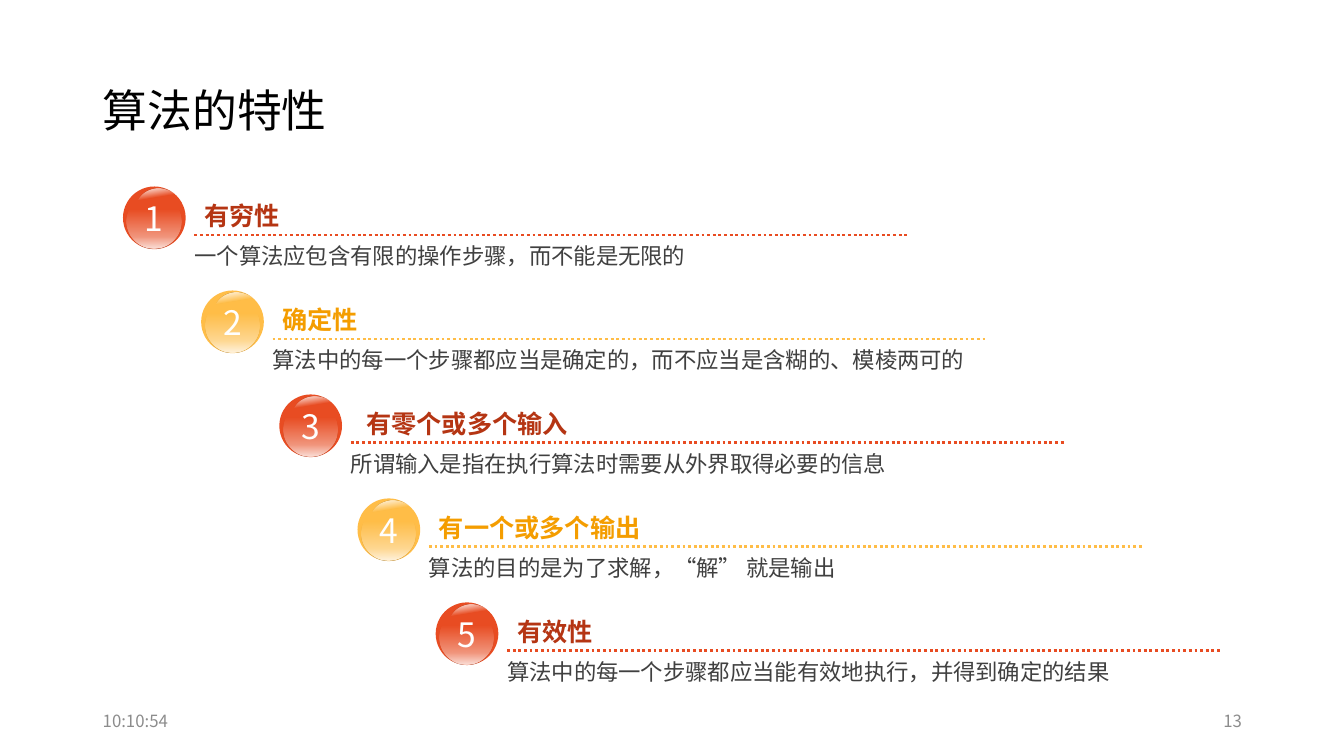
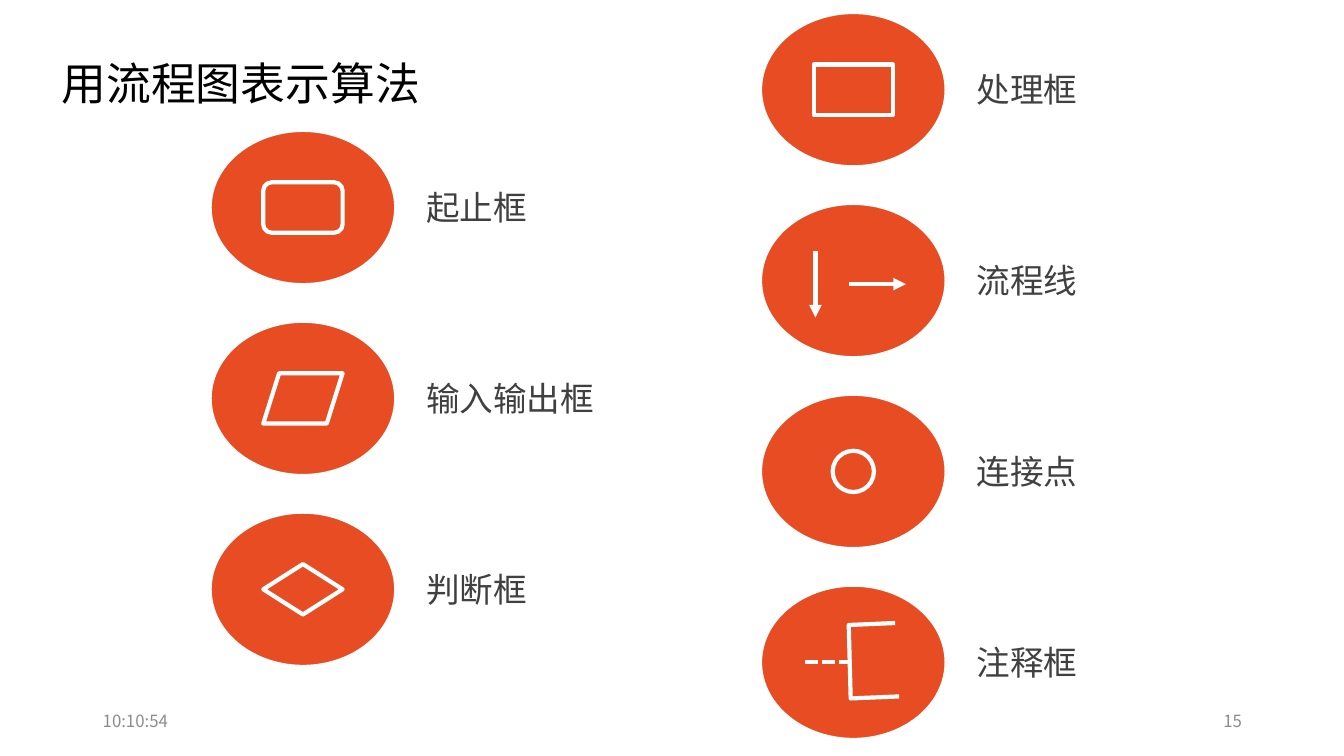
from pptx import Presentation
from pptx.dml.color import RGBColor
from pptx.enum.dml import MSO_LINE
from pptx.enum.shapes import MSO_CONNECTOR, MSO_SHAPE
from pptx.enum.text import MSO_ANCHOR, PP_ALIGN
from pptx.oxml import parse_xml
from pptx.oxml.ns import nsdecls, qn
from pptx.util import Cm, Pt
from lxml.etree import SubElement

FONT = "Noto Sans CJK SC"
COLORS = {
    "red": "E84C22",
    "dark_red": "B53513",
    "yellow": "FFBD47",
    "dark_yellow": "F49D00",
    "white": "FFFFFF",
    "title": "000000",
    "body": "404040",
    "footer": "8C8C8C",
}
INSETS = (0.25, 0.13, 0.25, 0.13)


def color(name):
    return RGBColor.from_string(COLORS[name])


def write_text(shape, text, size=16, ink="body", bold=False, align=PP_ALIGN.LEFT,
               anchor=MSO_ANCHOR.TOP, spacing=1.0, insets=INSETS):
    frame = shape.text_frame
    frame.word_wrap = True
    frame.vertical_anchor = anchor
    frame.margin_left, frame.margin_top, frame.margin_right, frame.margin_bottom = map(Cm, insets)
    paragraph = frame.paragraphs[0]
    paragraph.alignment = align
    paragraph.line_spacing = spacing
    run = paragraph.add_run()
    run.text = text
    run.font.size = Pt(size)
    run.font.bold = bold
    run.font.color.rgb = color(ink)
    run.font.name = FONT
    SubElement(run.font._element, qn("a:ea")).set("typeface", FONT)


class Deck:
    def __init__(self):
        self.presentation = Presentation()
        self.presentation.slide_width = Cm(33.87)
        self.presentation.slide_height = Cm(19.05)
        self.slide = None

    def new_slide(self, title, number, left, top):
        self.slide = self.presentation.slides.add_slide(self.presentation.slide_layouts[6])
        self.text(title, left, top, 29.21, 3.68, size=32, ink="title",
                  anchor=MSO_ANCHOR.MIDDLE, spacing=0.9)
        footer = {"size": 12, "ink": "footer", "anchor": MSO_ANCHOR.MIDDLE}
        self.text("10:10:54", 2.34, 17.65, 7.62, 1.02, **footer)
        self.text(number, 23.93, 17.65, 7.62, 1.02, align=PP_ALIGN.RIGHT, **footer)

    def text(self, text, left, top, width, height, **style):
        box = self.slide.shapes.add_textbox(Cm(left), Cm(top), Cm(width), Cm(height))
        write_text(box, text, **style)

    def outline(self, shape, fill=None, line=None, weight=3):
        shape.shadow.inherit = False
        if fill:
            shape.fill.solid()
            shape.fill.fore_color.rgb = color(fill)
        else:
            shape.fill.background()
        if line:
            shape.line.color.rgb = color(line)
            shape.line.width = Pt(weight)
        else:
            shape.line.fill.background()

    def shape(self, kind, left, top, width, height, **look):
        shape = self.slide.shapes.add_shape(kind, Cm(left), Cm(top), Cm(width), Cm(height))
        self.outline(shape, **look)
        return shape

    def gloss(self, left, top, width, height, stops, angle, rotation=0):
        shape = self.shape(MSO_SHAPE.OVAL, left, top, width, height)
        shape.rotation = rotation
        stop_xml = "".join(
            f'<a:gs pos="{position * 1000}"><a:srgbClr val="{COLORS["white"]}">'
            f'<a:alpha val="{opacity * 1000}"/></a:srgbClr></a:gs>'
            for position, opacity in stops)
        gradient = parse_xml(
            f'<a:gradFill {nsdecls("a")} rotWithShape="1"><a:gsLst>{stop_xml}</a:gsLst>'
            f'<a:lin ang="{angle * 60000}" scaled="0"/></a:gradFill>')
        properties = shape.element.spPr
        properties.replace(properties.find(qn("a:noFill")), gradient)

    def line(self, start, end, ink="white", weight=3, dash=None, arrow=False):
        connector = self.slide.shapes.add_connector(
            MSO_CONNECTOR.STRAIGHT, *map(Cm, (*start, *end)))
        connector.line.color.rgb = color(ink)
        connector.line.width = Pt(weight)
        if dash:
            connector.line.dash_style = dash
        properties = connector.element.spPr
        if arrow:
            SubElement(properties.find(qn("a:ln")), qn("a:tailEnd")).set("type", "triangle")
        SubElement(properties, qn("a:effectLst"))

    def polyline(self, points):
        corners = [(Cm(x), Cm(y)) for x, y in points]
        builder = self.slide.shapes.build_freeform(*corners[0])
        builder.add_line_segments(corners[1:], close=False)
        self.outline(builder.convert_to_shape(), line="white")

    def numbered_item(self, number, heading, body, left, top, tone):
        ball = self.shape(MSO_SHAPE.OVAL, left, top, 1.58, 1.58, fill=tone)
        write_text(ball, str(number), size=24, ink="white", align=PP_ALIGN.CENTER,
                   anchor=MSO_ANCHOR.MIDDLE, insets=(0, 0.13, 0, 0.13))
        self.gloss(left + 0.3, top + 0.08, 1.3, 1.19, [(0, 0), (16, 88), (30, 0)], 45, 35.7)
        self.gloss(left + 0.1, top + 0.2, 1.37, 1.37, [(28, 0), (78, 41), (98, 79)], 90)
        text_left = left + 1.8
        self.line((text_left, top + 1.22), (text_left + 18, top + 1.22),
                  ink=tone, weight=2, dash=MSO_LINE.ROUND_DOT)
        self.text(heading, text_left, top + 0.13, 13, 1.12, size=18, ink=f"dark_{tone}",
                  bold=True, anchor=MSO_ANCHOR.BOTTOM)
        self.text(body, text_left, top + 1.2, 18, 1.04, spacing=1.3, insets=(0, 0, 0, 0))

    def symbol_item(self, label, left, top, symbol=None, width=2.0, height=1.27):
        oval_width, oval_height = 4.65, 3.86
        self.shape(MSO_SHAPE.OVAL, left, top, oval_width, oval_height,
                   fill="red", line="white", weight=1.5)
        if symbol:
            self.shape(symbol, left + (oval_width - width) / 2, top + (oval_height - height) / 2,
                       width, height, line="white")
        self.text(label, left + 5.18, top + 1.28, 5.05, 1.27, size=24)


def build_properties_slide(deck):
    deck.new_slide("算法的特性", "13", 2.34, 1.02)
    items = [
        ("有穷性", "一个算法应包含有限的操作步骤，而不能是无限的"),
        ("确定性", "算法中的每一个步骤都应当是确定的，而不应当是含糊的、模棱两可的"),
        (" 有零个或多个输入", "所谓输入是指在执行算法时需要从外界取得必要的信息"),
        ("有一个或多个输出", "算法的目的是为了求解，“解” 就是输出"),
        ("有效性", "算法中的每一个步骤都应当能有效地执行，并得到确定的结果"),
    ]
    for index, (heading, body) in enumerate(items):
        tone = ("red", "yellow")[index % 2]
        deck.numbered_item(index + 1, heading, body, 3.1 + 1.97 * index, 4.7 + 2.62 * index, tone)


def build_flowchart_slide(deck):
    deck.new_slide("用流程图表示算法", "15", 1.3, 0.33)
    step = 4.81
    left_column, left_top = 5.31, 3.3
    right_column, right_top = 19.18, 0.33
    columns = [
        (left_column, left_top, [
            ("起止框", MSO_SHAPE.FLOWCHART_ALTERNATE_PROCESS),
            ("输入输出框", MSO_SHAPE.FLOWCHART_DATA),
            ("判断框", MSO_SHAPE.FLOWCHART_DECISION),
        ]),
        (right_column, right_top, [
            ("处理框", MSO_SHAPE.FLOWCHART_PROCESS),
            ("流程线",),
            ("连接点", MSO_SHAPE.FLOWCHART_CONNECTOR, 1.04, 1.04),
            ("注释框",),
        ]),
    ]
    for left, top, items in columns:
        for row, (label, *symbol) in enumerate(items):
            deck.symbol_item(label, left, top + step * row, *symbol)

    def inside(row, x, y):
        return right_column + x, right_top + step * row + y

    deck.line(inside(1, 1.37, 1.18), inside(1, 1.37, 2.86), arrow=True)
    deck.line(inside(1, 2.21, 2.02), inside(1, 3.65, 2.02), arrow=True)
    deck.line(inside(3, 1.11, 1.93), inside(3, 2.21, 1.93), dash=MSO_LINE.SQUARE_DOT)
    bracket = [(3.38, 0.94), (2.21, 0.99), (2.26, 2.84), (3.48, 2.79)]
    deck.polyline([inside(3, x, y) for x, y in bracket])


def main():
    deck = Deck()
    build_properties_slide(deck)
    build_flowchart_slide(deck)
    deck.presentation.save("out.pptx")


if __name__ == "__main__":
    main()
